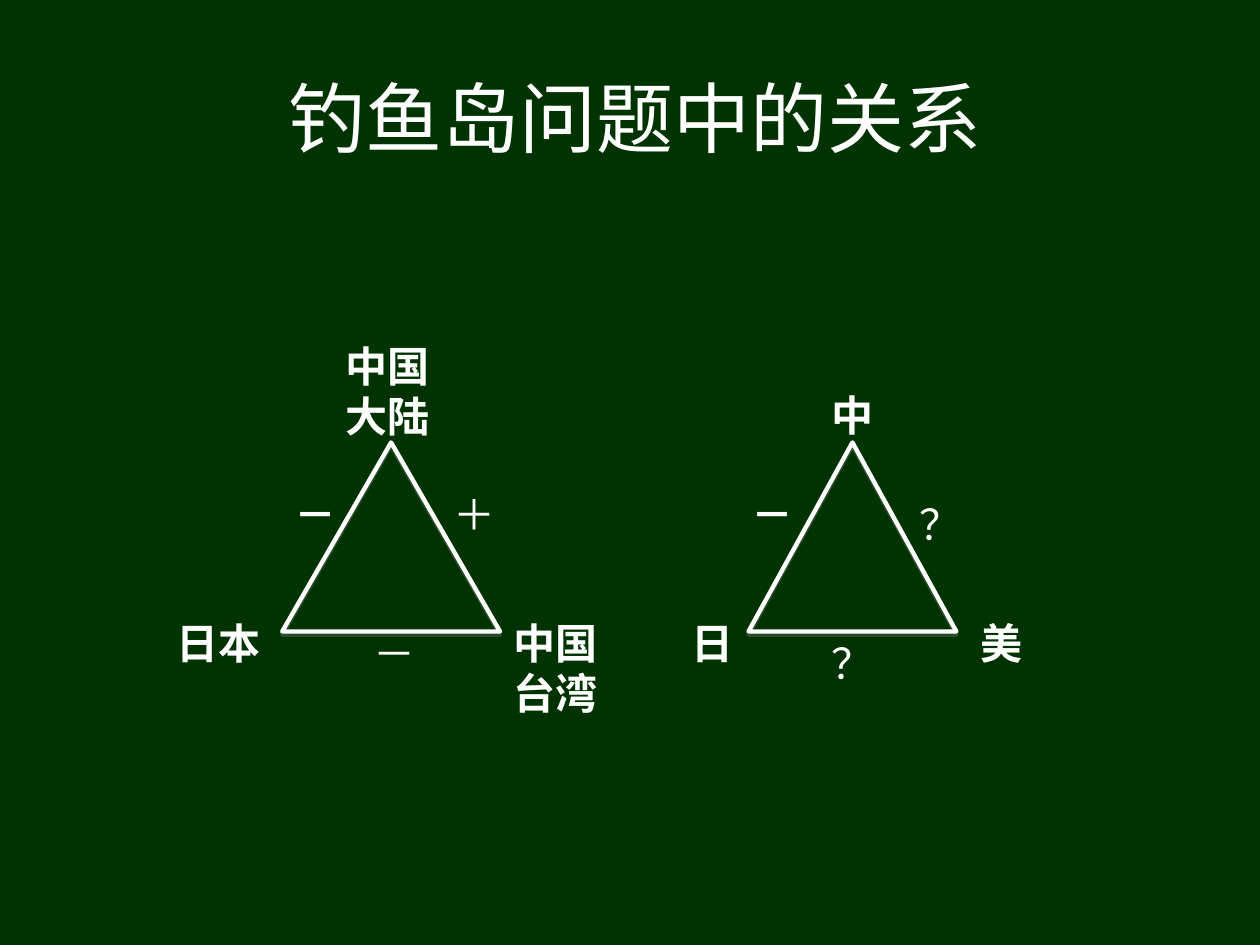
from dataclasses import dataclass

from lxml.etree import SubElement
from pptx import Presentation
from pptx.dml.color import RGBColor
from pptx.enum.shapes import MSO_SHAPE
from pptx.enum.text import MSO_ANCHOR, MSO_AUTO_SIZE, PP_ALIGN
from pptx.oxml.ns import qn
from pptx.slide import Slide
from pptx.util import Cm, Pt

WHITE = "FFFFFF"
GREEN = "003300"
GREY = "808080"
TOP = 8.92
HIGH = 3.81
BASE = 12.32
SIGN = 9.73


@dataclass
class Tri:
    left: float
    width: float


@dataclass
class Label:
    text: str
    left: float
    top: float
    width: float = 1.4
    bold: bool = True
    lines: int = 1


TRIS = [Tri(5.69, 4.39), Tri(15.09, 4.19)]

LABELS = [
    Label("中国大陆", 6.71, 6.73, 2.41, lines=2),
    Label("日本", 3.3, BASE, 2.39),
    Label("中国台湾", 10.11, BASE, 2.79, lines=2),
    Label("－", 5.69, SIGN, 1.19),
    Label("＋", 8.89, SIGN, bold=False),
    Label("－", 7.29, 12.52, bold=False),
    Label("中", 16.51, 7.72),
    Label("日", 13.69, BASE),
    Label("美", 19.51, BASE),
    Label("－", 14.91, SIGN),
    Label("？", 18.29, 9.93, bold=False),
    Label("？", 16.51, 12.73, bold=False),
]


def color(code: str) -> RGBColor:
    return RGBColor.from_string(code)


def style(frame, size: int, face: str, bold: bool = False) -> None:
    for run in frame.paragraphs[0].runs:
        font = run.font
        font.size = Pt(size)
        font.bold = bold
        font.name = face
        font.color.rgb = color(WHITE)
        SubElement(font._element, qn("a:ea"), typeface=face)


def draw_tri(slide: Slide, tri: Tri) -> None:
    shape = slide.shapes.add_shape(
        MSO_SHAPE.ISOSCELES_TRIANGLE,
        Cm(tri.left), Cm(TOP), Cm(tri.width), Cm(HIGH),
    )
    shape.fill.background()
    shape.line.color.rgb = color(WHITE)
    shape.line.width = Pt(2.5)
    shape.shadow.inherit = False
    effect = shape._element.spPr.find(qn("a:effectLst"))
    shade = SubElement(
        effect, qn("a:outerShdw"),
        dist=str(Pt(1.8)), dir="5400000", rotWithShape="0",
    )
    tint = SubElement(shade, qn("a:srgbClr"), val=GREY)
    SubElement(tint, qn("a:alpha"), val="35000")


def draw_label(slide: Slide, label: Label) -> None:
    high = 0.25 + 1.02 * label.lines
    box = slide.shapes.add_textbox(
        Cm(label.left), Cm(label.top), Cm(label.width), Cm(high)
    )
    frame = box.text_frame
    frame.word_wrap = True
    frame.auto_size = MSO_AUTO_SIZE.SHAPE_TO_FIT_TEXT
    frame.text = label.text
    style(frame, 24, "Arial", label.bold)


def draw_title(slide: Slide, text: str) -> None:
    title = slide.shapes.title
    title.left, title.top = Cm(1.5), Cm(0.76)
    title.width, title.height = Cm(22.63), Cm(3.18)
    frame = title.text_frame
    frame.text = text
    frame.vertical_anchor = MSO_ANCHOR.MIDDLE
    frame.paragraphs[0].alignment = PP_ALIGN.CENTER
    style(frame, 44, "Noto Sans CJK SC")


def main() -> None:
    deck = Presentation()
    deck.slide_width, deck.slide_height = Cm(25.4), Cm(19.05)
    slide = deck.slides.add_slide(deck.slide_layouts[5])
    fill = slide.background.fill
    fill.solid()
    fill.fore_color.rgb = color(GREEN)
    draw_title(slide, "钓鱼岛问题中的关系")
    for tri in TRIS:
        draw_tri(slide, tri)
    for label in LABELS:
        draw_label(slide, label)
    deck.save("out.pptx")


if __name__ == "__main__":
    main()
